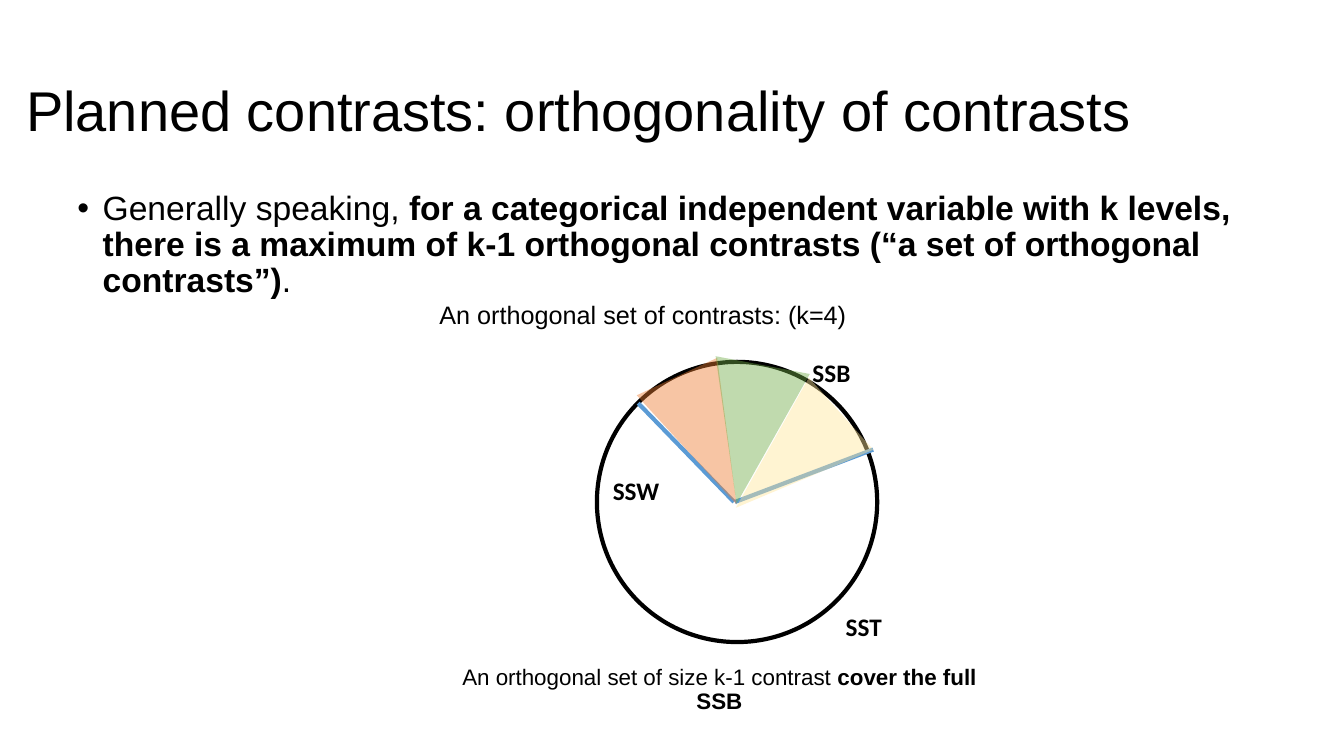
from lxml import etree
from pptx import Presentation
from pptx.dml.color import RGBColor
from pptx.enum.shapes import MSO_CONNECTOR, MSO_SHAPE
from pptx.enum.text import MSO_ANCHOR, PP_ALIGN
from pptx.oxml.ns import qn
from pptx.util import Pt

PX = 9144  # 100 px to the inch
LINE = MSO_CONNECTOR.STRAIGHT
OVAL = MSO_SHAPE.OVAL
WEDGE = MSO_SHAPE.ISOSCELES_TRIANGLE
TOP, MIDDLE = MSO_ANCHOR.TOP, MSO_ANCHOR.MIDDLE
LEFT, CENTER = PP_ALIGN.LEFT, PP_ALIGN.CENTER

BLACK = RGBColor(0x00, 0x00, 0x00)
WHITE = RGBColor(0xFF, 0xFF, 0xFF)
BLUE = RGBColor(0x5B, 0x9B, 0xD5)
ORANGE = RGBColor(0xED, 0x7D, 0x31)
GREEN = RGBColor(0x70, 0xAD, 0x47)
YELLOW = RGBColor(0xFF, 0xE6, 0x99)


def px(*sizes):
    return [size * PX for size in sizes]


def add_text(slide, box, runs, size, anchor=TOP, align=LEFT, bullet=False):
    """Add one wrapped paragraph; runs are (text, bold) pairs."""
    frame = slide.shapes.add_textbox(*px(*box)).text_frame
    frame.word_wrap = True
    frame.vertical_anchor = anchor
    para = frame.paragraphs[0]
    para.alignment = align
    para.line_spacing = 0.9
    if bullet:
        props = para._p.get_or_add_pPr()
        props.set("marL", str(25 * PX))
        props.set("indent", str(-25 * PX))
        etree.SubElement(props, qn("a:buFont")).set("typeface", "Arial")
        etree.SubElement(props, qn("a:buChar")).set("char", "•")
    para.font.name = "Arial"
    para.font.size = Pt(size)
    para.font.color.rgb = BLACK
    for text, bold in runs:
        run = para.add_run()
        run.text = text
        run.font.bold = bold


def add_label(slide, box, text):
    frame = slide.shapes.add_textbox(*px(*box)).text_frame
    frame.word_wrap = False
    para = frame.paragraphs[0]
    para.text = text
    para.font.name = "Calibri"
    para.font.size = Pt(18)
    para.font.bold = True
    para.font.color.rgb = BLACK


def add_circle(slide, box):
    circle = slide.shapes.add_shape(OVAL, *px(*box))
    circle.shadow.inherit = False
    circle.fill.solid()
    circle.fill.fore_color.rgb = WHITE
    circle.line.color.rgb = BLACK
    circle.line.width = Pt(3)


def add_edge(slide, ends):
    edge = slide.shapes.add_connector(LINE, *px(*ends))
    edge.line.color.rgb = BLUE
    edge.line.width = Pt(3)
    etree.SubElement(edge._element.spPr, qn("a:effectLst"))


def add_wedge(slide, box, angle, color):
    wedge = slide.shapes.add_shape(WEDGE, *px(*box))
    wedge.rotation = angle
    wedge.shadow.inherit = False
    wedge.fill.solid()
    wedge.fill.fore_color.rgb = color
    wedge.line.fill.background()
    tint = wedge._element.spPr.find(qn("a:solidFill"))[0]
    etree.SubElement(tint, qn("a:alpha")).set("val", "44000")


def main():
    deck = Presentation()
    deck.slide_width, deck.slide_height = px(1333, 750)
    slide = deck.slides.add_slide(deck.slide_layouts[6])

    # Title and statement
    add_text(slide, (16, 40, 1226, 145),
             [("Planned contrasts: orthogonality of contrasts", False)],
             40, anchor=MIDDLE)
    add_text(slide, (67, 185, 1213, 514),
             [("Generally speaking, ", False),
              ("for a categorical independent variable with k levels, "
               "there is a maximum of k-1 orthogonal contrasts "
               "(“a set of orthogonal contrasts”)", True),
              (".", False)], 24, bullet=True)
    add_text(slide, (426, 295, 463, 47),
             [("An orthogonal set of contrasts: (k=4)", False)], 18)

    # Total variation, its two parts and their labels
    add_circle(slide, (592, 359, 278, 278))
    add_label(slide, (829, 602, 56, 40), "SST")
    add_edge(slide, (633, 400, 728, 498))
    add_edge(slide, (729, 498, 866, 446))
    add_label(slide, (796, 350, 58, 40), "SSB")
    add_label(slide, (598, 467, 67, 40), "SSW")

    # One wedge per contrast
    add_wedge(slide, (657, 367, 88, 140), 155, ORANGE)
    add_wedge(slide, (696, 361, 95, 140), 190.7, GREEN)
    add_wedge(slide, (734, 387, 96, 140), 228.2, YELLOW)

    # Conclusion
    add_text(slide, (444, 656, 539, 59),
             [("An orthogonal set of size k-1 contrast ", False),
              ("cover the full SSB", True)], 16, align=CENTER)

    deck.save("out.pptx")


if __name__ == "__main__":
    main()
